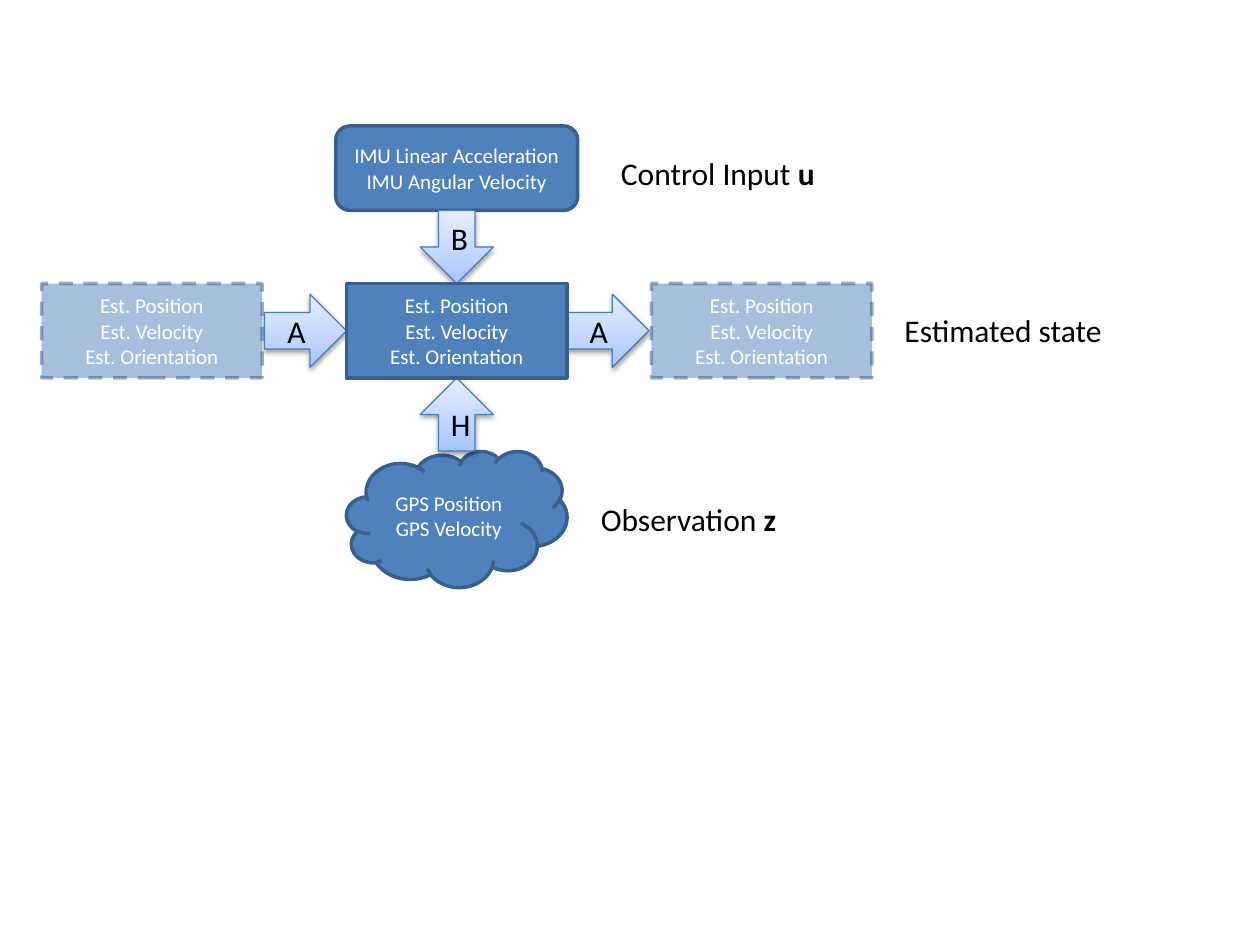
import pptx
import pptx.util
import pptx.dml.color
import pptx.enum.dml
import pptx.enum.shapes
import pptx.enum.text
import pptx.oxml
import pptx.oxml.ns
from pptx.util import Inches

SHAPE = pptx.enum.shapes.MSO_SHAPE
COLORS = {
    "box": "4F81BD", "edge": "3A5F8C", "faded_edge": "385D8A",
    "arrow_edge": "4B7EBC", "white": "FFFFFF", "black": "000000",
}
ARROW_STOPS = [(0, "A4C4FF"), (35, "BFD4FF"), (100, "E6EEFF")]

# Content
STATE = ["Est. Position", "Est. Velocity", "Est. Orientation"]
OBSERVATION = ["GPS Position", "GPS Velocity"]
CONTROL = ["IMU Linear Acceleration", "IMU Angular Velocity"]
CAPTIONS = [  # plain text, bold symbol, left, top, width
    ("Observation ", "z", 4.67, 3.92, 1.67),
    ("Control Input ", "u", 4.83, 1.17, 1.76),
    ("Estimated state", "", 7.08, 2.42, 1.84),
]

# Layout: everything is arranged around the current state
STATE_LEFT, STATE_TOP, STATE_W, STATE_H = 2.75, 2.25, 1.75, 0.75
STATE_RIGHT, STATE_BOTTOM = STATE_LEFT + STATE_W, STATE_TOP + STATE_H
CENTER_X, CENTER_Y = STATE_LEFT + STATE_W / 2, STATE_TOP + STATE_H / 2
PREVIOUS_LEFT, NEXT_LEFT = 0.33, 5.17
CONTROL_W, CONTROL_H = 1.92, 0.67
ARROW, ARROW_LONG = 0.58, 0.65
ARROW_LEFT, ARROW_TOP = CENTER_X - ARROW / 2, CENTER_Y - ARROW / 2

ARROWS = [  # preset, letter, left, top, width
    (SHAPE.UP_ARROW, "H", ARROW_LEFT, STATE_BOTTOM, ARROW),
    (SHAPE.DOWN_ARROW, "B", ARROW_LEFT, STATE_TOP - ARROW, ARROW),
    (SHAPE.RIGHT_ARROW, "A", STATE_LEFT - ARROW_LONG, ARROW_TOP, ARROW_LONG),
    (SHAPE.RIGHT_ARROW, "A", STATE_RIGHT, ARROW_TOP, ARROW_LONG),
]


def rgb(name):
    return pptx.dml.color.RGBColor.from_string(COLORS[name])


def style_font(paragraph, size, color):
    paragraph.font.name = "Calibri"
    paragraph.font.size = pptx.util.Pt(size)
    paragraph.font.color.rgb = rgb(color)


def add_block(slide, preset, lines, box, size, color, edge, edge_width):
    block = slide.shapes.add_shape(preset, *map(Inches, box))
    block.shadow.inherit = False
    block.fill.solid()
    block.fill.fore_color.rgb = rgb("box")
    block.line.color.rgb = rgb(edge)
    block.line.width = pptx.util.Pt(edge_width)
    frame = block.text_frame
    frame.vertical_anchor = pptx.enum.text.MSO_ANCHOR.MIDDLE
    frame.text = "\n".join(lines)
    for paragraph in frame.paragraphs:
        paragraph.alignment = pptx.enum.text.PP_ALIGN.CENTER
        style_font(paragraph, size, color)
    return block


def add_node(slide, preset, lines, box, edge="edge"):
    return add_block(slide, preset, lines, box, 12, "white", edge, 2)


def add_faded_state(slide, left):
    state = add_node(slide, SHAPE.RECTANGLE, STATE,
                     (left, STATE_TOP, STATE_W, STATE_H), "faded_edge")
    state.line.dash_style = pptx.enum.dml.MSO_LINE.DASH
    for color in state._element.spPr.iter(pptx.oxml.ns.qn("a:srgbClr")):
        color.append(xml('<a:alpha {ns} val="50000"/>'))


def xml(text):
    return pptx.oxml.parse_xml(text.format(ns=pptx.oxml.ns.nsdecls("a")))


def add_arrow(slide, preset, letter, left, top, width):
    arrow = add_block(slide, preset, [letter], (left, top, width, ARROW),
                      18, "black", "arrow_edge", 0.75)
    # Three-stop gradient, running upwards
    arrow.fill.gradient()
    arrow.fill.gradient_angle = 90
    stops = arrow._element.spPr.find(".//" + pptx.oxml.ns.qn("a:gsLst"))
    for stop in list(stops):
        stops.remove(stop)
    for position, color in ARROW_STOPS:
        stops.append(xml(f'<a:gs {{ns}} pos="{position * 1000}">'
                         f'<a:srgbClr val="{color}"/></a:gs>'))
    # Soft shadow below
    effects = arrow._element.spPr.find(pptx.oxml.ns.qn("a:effectLst"))
    effects.append(xml(
        '<a:outerShdw {ns} blurRad="40000" dist="20000" dir="5400000" '
        'rotWithShape="0"><a:srgbClr val="000000"><a:alpha val="38000"/>'
        '</a:srgbClr></a:outerShdw>'))


def add_caption(slide, plain, symbol, left, top, width):
    caption = slide.shapes.add_textbox(*map(Inches, (left, top, width, 0.4)))
    frame = caption.text_frame
    frame.word_wrap = False
    frame.auto_size = pptx.enum.text.MSO_AUTO_SIZE.SHAPE_TO_FIT_TEXT
    paragraph = frame.paragraphs[0]
    paragraph.add_run().text = plain
    if symbol:
        run = paragraph.add_run()
        run.text = symbol
        run.font.bold = True
    style_font(paragraph, 18, "black")


def main():
    deck = pptx.Presentation()
    deck.slide_width, deck.slide_height = Inches(10), Inches(7.5)
    slide = deck.slides.add_slide(deck.slide_layouts[6])

    # Inputs below and above the state
    add_node(slide, SHAPE.CLOUD, OBSERVATION,
             (STATE_LEFT, STATE_BOTTOM + ARROW, STATE_W, 1.08))
    add_node(slide, SHAPE.ROUNDED_RECTANGLE, CONTROL,
             (CENTER_X - CONTROL_W / 2, 1, CONTROL_W, CONTROL_H))

    for arrow in ARROWS:
        add_arrow(slide, *arrow)

    # Next, current and previous state
    add_faded_state(slide, NEXT_LEFT)
    add_node(slide, SHAPE.RECTANGLE, STATE,
             (STATE_LEFT, STATE_TOP, STATE_W, STATE_H))
    add_faded_state(slide, PREVIOUS_LEFT)

    for caption in CAPTIONS:
        add_caption(slide, *caption)

    deck.save("out.pptx")


if __name__ == "__main__":
    main()
